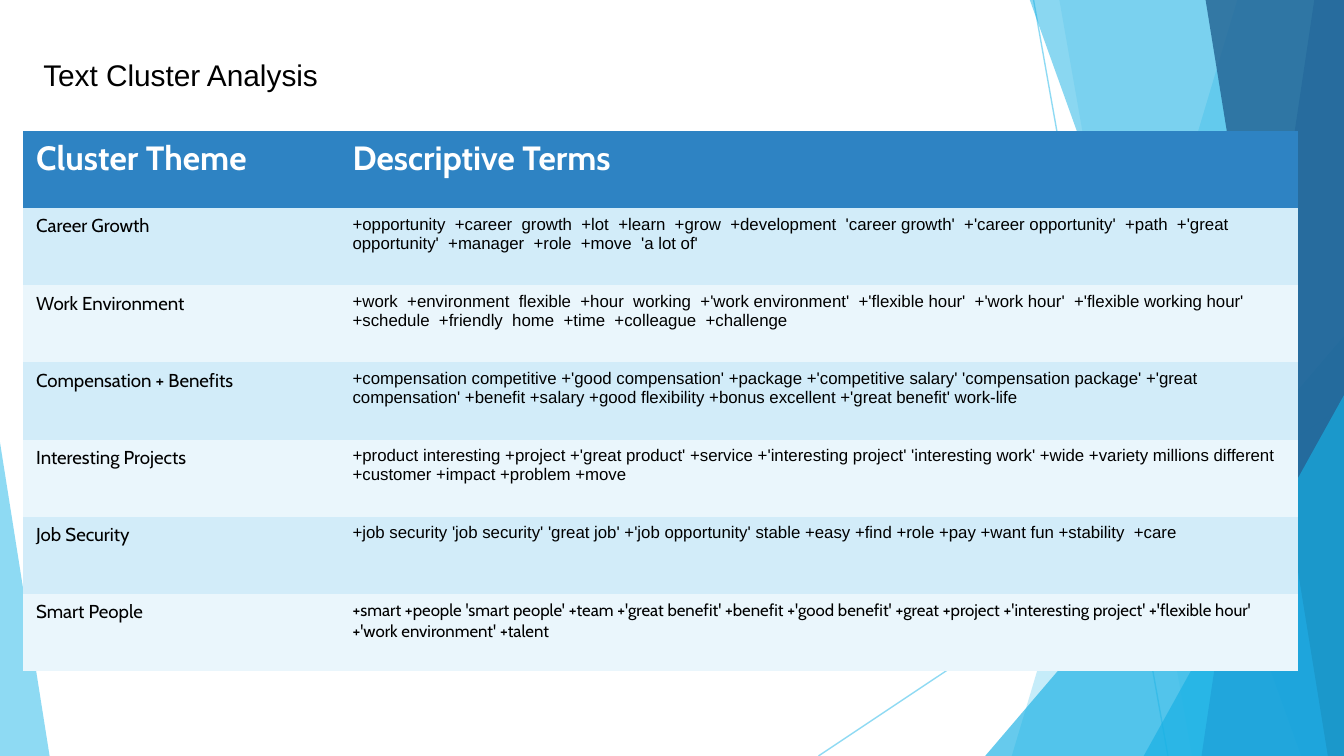
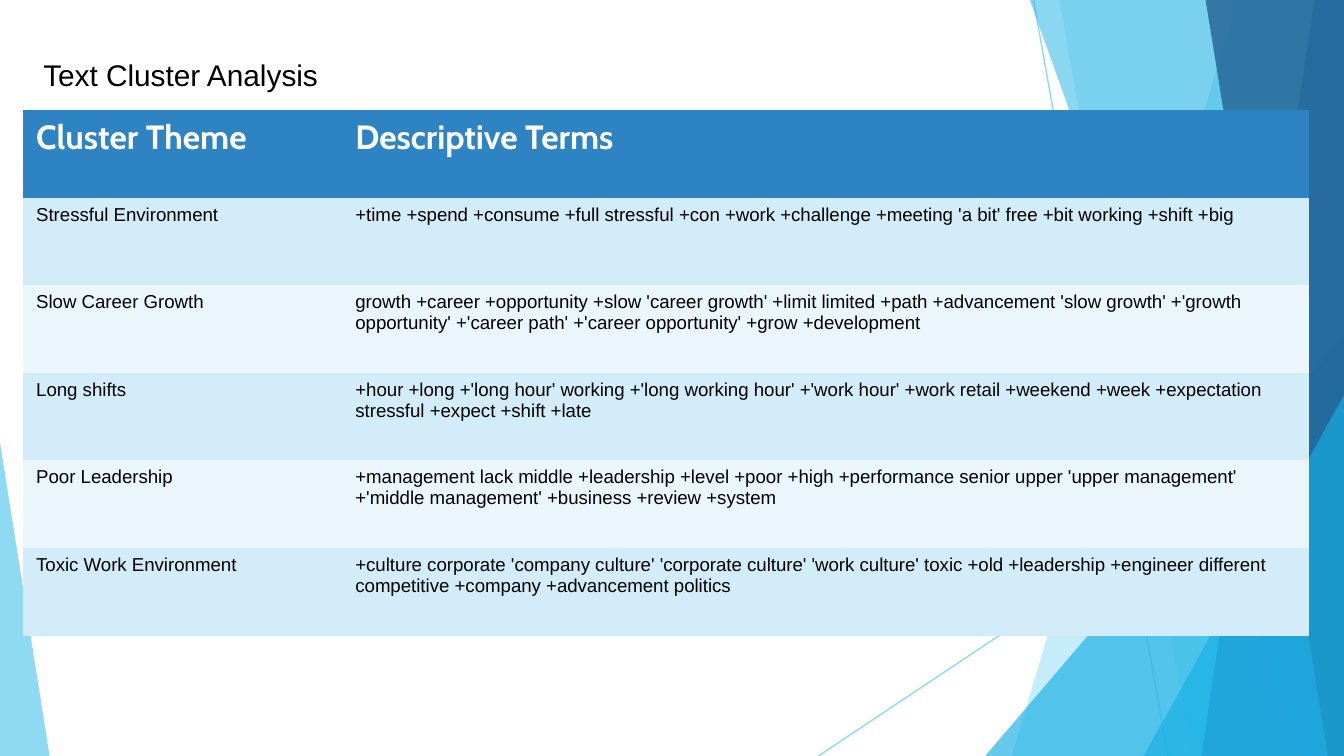
from lxml import etree
from pptx import Presentation
from pptx.dml.color import RGBColor
from pptx.enum.shapes import MSO_CONNECTOR, MSO_SHAPE
from pptx.enum.text import MSO_ANCHOR, MSO_AUTO_SIZE, PP_ALIGN
from pptx.oxml.ns import qn
from pptx.util import Pt

STRAIGHT = MSO_CONNECTOR.STRAIGHT
TRIANGLE = MSO_SHAPE.ISOSCELES_TRIANGLE
TOP = MSO_ANCHOR.TOP
LEFT = PP_ALIGN.LEFT
NO_AUTOFIT = MSO_AUTO_SIZE.NONE

# Shared look
WIDTH, HEIGHT = 720, 405
BLACK, WHITE = "000000", "FFFFFF"
SKY, CYAN, BLUE, NAVY = "5FCBEF", "17B0E4", "2E83C3", "226292"
BANDS = ("D2ECF9", "EAF6FC")
ARIAL, CABIN = "Arial", "Cabin"
NO_TABLE_STYLE = "{2D5ABB26-0587-4C30-8999-92F81FD0307C}"
WIDE_GAP = chr(160) + " "

# Backdrop: lines (x1, y1, x2, y2)
RAYS = [(553.7, 0, 625.7, HEIGHT), (WIDTH, 217.4, 438.5, HEIGHT)]
# Panels reach the right edge: ("panel", top x, bottom x, colour, opacity)
# Triangles sit on the bottom edge: ("triangle", left, top, width, apex, colour, opacity)
FACETS = [
    ("panel", 663, 542, SKY, 36),
    ("panel", 567.4, 638.6, SKY, 20),
    ("triangle", 527.8, 180, 192.2, 1, CYAN, 66),
    ("panel", 551.5, 697, CYAN, 50),
    ("panel", 704.2, 643.7, BLUE, 70),
    ("panel", 645.8, 711.4, NAVY, 80),
    ("triangle", 612.7, 211.7, 107.3, 1, CYAN, 66),
    ("triangle", 0, 236.9, 26.6, 0, SKY, 70),
]

# Content
TITLE = "Text Cluster Analysis"
HEADINGS = ("Cluster Theme", "Descriptive Terms")

# Terms are given as parts, which are joined by a wide gap
PAGES = [
    {
        "top": 70.2, "row_height": 41.35, "columns": (169.5, 513.5),
        "theme_font": CABIN, "terms_size": 9,
        "rows": [
            ("Career Growth", ARIAL, [
                "+opportunity", "+career", "growth", "+lot", "+learn", "+grow",
                "+development", "'career growth'", "+'career opportunity'", "+path",
                "+'great opportunity'", "+manager", "+role", "+move", "'a lot of'"]),
            ("Work Environment", ARIAL, [
                "+work", "+environment", "flexible", "+hour", "working",
                "+'work environment'", "+'flexible hour'", "+'work hour'",
                "+'flexible working hour'", "+schedule", "+friendly", "home",
                "+time", "+colleague", "+challenge"]),
            ("Compensation + Benefits", ARIAL, [
                "+compensation competitive +'good compensation' +package "
                "+'competitive salary' 'compensation package' +'great compensation' "
                "+benefit +salary +good flexibility +bonus excellent "
                "+'great benefit' work-life"]),
            ("Interesting Projects", ARIAL, [
                "+product interesting +project +'great product' +service "
                "+'interesting project' 'interesting work' +wide +variety millions "
                "different +customer +impact +problem +move"]),
            ("Job Security", ARIAL, [
                "+job security 'job security' 'great job' +'job opportunity' stable "
                "+easy +find +role +pay +want fun +stability", "+care"]),
            ("Smart People", CABIN, [
                "+smart +people 'smart people' +team +'great benefit' +benefit "
                "+'good benefit' +great +project +'interesting project' "
                "+'flexible hour' +'work environment' +talent"]),
        ],
    },
    {
        "top": 58.9, "row_height": 46.95, "columns": (171, 518),
        "theme_font": ARIAL, "terms_size": 10,
        "rows": [
            ("Stressful Environment", ARIAL, [
                "+time +spend +consume +full stressful +con +work +challenge "
                "+meeting 'a bit' free +bit working +shift +big"]),
            ("Slow Career Growth", ARIAL, [
                "growth +career +opportunity +slow 'career growth' +limit limited "
                "+path +advancement 'slow growth' +'growth opportunity' "
                "+'career path' +'career opportunity' +grow +development"]),
            ("Long shifts", ARIAL, [
                "+hour +long +'long hour' working +'long working hour' +'work hour' "
                "+work retail +weekend +week +expectation stressful +expect +shift "
                "+late"]),
            ("Poor Leadership", ARIAL, [
                "+management lack middle +leadership +level +poor +high +performance "
                "senior upper 'upper management' +'middle management' +business "
                "+review +system"]),
            ("Toxic Work Environment", ARIAL, [
                "+culture corporate 'company culture' 'corporate culture' "
                "'work culture' toxic +old +leadership +engineer different "
                "competitive +company +advancement politics"]),
        ],
    },
]


def rgb(value):
    return RGBColor.from_string(value)


def set_opacity(shape, percent):
    for colour in shape.element.iter(qn("a:srgbClr")):
        etree.SubElement(colour, qn("a:alpha"), val=str(percent * 1000))


def write(para, text, font, size, colour, bold=False):
    span = para.add_run()
    span.text = text
    span.font.name = font
    span.font.size = Pt(size)
    span.font.bold = bold
    span.font.color.rgb = rgb(colour)


def add_ray(page, x1, y1, x2, y2):
    ray = page.shapes.add_connector(STRAIGHT, Pt(x1), Pt(y1), Pt(x2), Pt(y2))
    ray.line.color.rgb = rgb(SKY)
    ray.line.width = Pt(0.75)
    etree.SubElement(ray.element.spPr, qn("a:effectLst"))
    set_opacity(ray, 70)


def panel(page, top_x, bottom_x):
    outline = page.shapes.build_freeform(Pt(top_x), Pt(-0.6))
    corners = [(WIDTH, -0.6), (WIDTH, HEIGHT), (bottom_x, HEIGHT)]
    outline.add_line_segments([(Pt(x), Pt(y)) for x, y in corners], close=True)
    return outline.convert_to_shape()


def triangle(page, left, top, width, apex):
    shape = page.shapes.add_shape(
        TRIANGLE, Pt(left), Pt(top), Pt(width), Pt(HEIGHT - top))
    shape.adjustments[0] = apex
    return shape


def add_backdrop(page):
    for ray in RAYS:
        add_ray(page, *ray)
    for kind, *place, colour, opacity in FACETS:
        draw = panel if kind == "panel" else triangle
        facet = draw(page, *place)
        facet.shadow.inherit = False
        facet.fill.solid()
        facet.fill.fore_color.rgb = rgb(colour)
        facet.line.fill.background()
        set_opacity(facet, opacity)


def add_title(page):
    title = page.shapes.title
    title.left, title.top, title.width, title.height = Pt(16), Pt(26.6), Pt(216), Pt(26.6)
    frame = title.text_frame
    frame.word_wrap = True
    frame.auto_size = NO_AUTOFIT
    frame.vertical_anchor = TOP
    para = frame.paragraphs[0]
    para.alignment = LEFT
    write(para, TITLE, ARIAL, 16, BLACK)


def fill_cell(cell, fill, *text_style):
    cell.fill.solid()
    cell.fill.fore_color.rgb = rgb(fill)
    write(cell.text_frame.paragraphs[0], *text_style)


def add_cluster_table(page, content):
    rows, columns = content["rows"], content["columns"]
    count = len(rows) + 1
    holder = page.shapes.add_table(
        count, len(columns), Pt(12.2), Pt(content["top"]),
        Pt(sum(columns)), Pt(count * content["row_height"]))
    for style in holder.element.iter(qn("a:tableStyleId")):
        style.text = NO_TABLE_STYLE
    table = holder.table
    table.horz_banding = False
    for column, width in zip(table.columns, columns):
        column.width = Pt(width)
    for row in table.rows:
        row.height = Pt(content["row_height"])

    # Heading row, then banded rows
    for index, heading in enumerate(HEADINGS):
        fill_cell(table.cell(0, index), BLUE, heading, CABIN, 18, WHITE, True)
    for index, (theme, terms_font, terms) in enumerate(rows):
        band = BANDS[index % 2]
        fill_cell(table.cell(index + 1, 0), band,
                  theme, content["theme_font"], 10, BLACK)
        fill_cell(table.cell(index + 1, 1), band,
                  WIDE_GAP.join(terms), terms_font, content["terms_size"], BLACK)


def main():
    deck = Presentation()
    deck.slide_width, deck.slide_height = Pt(WIDTH), Pt(HEIGHT)
    title_only = deck.slide_layouts[5]
    for content in PAGES:
        page = deck.slides.add_slide(title_only)
        add_backdrop(page)
        add_cluster_table(page, content)
        add_title(page)
    deck.save("out.pptx")


if __name__ == "__main__":
    main()
